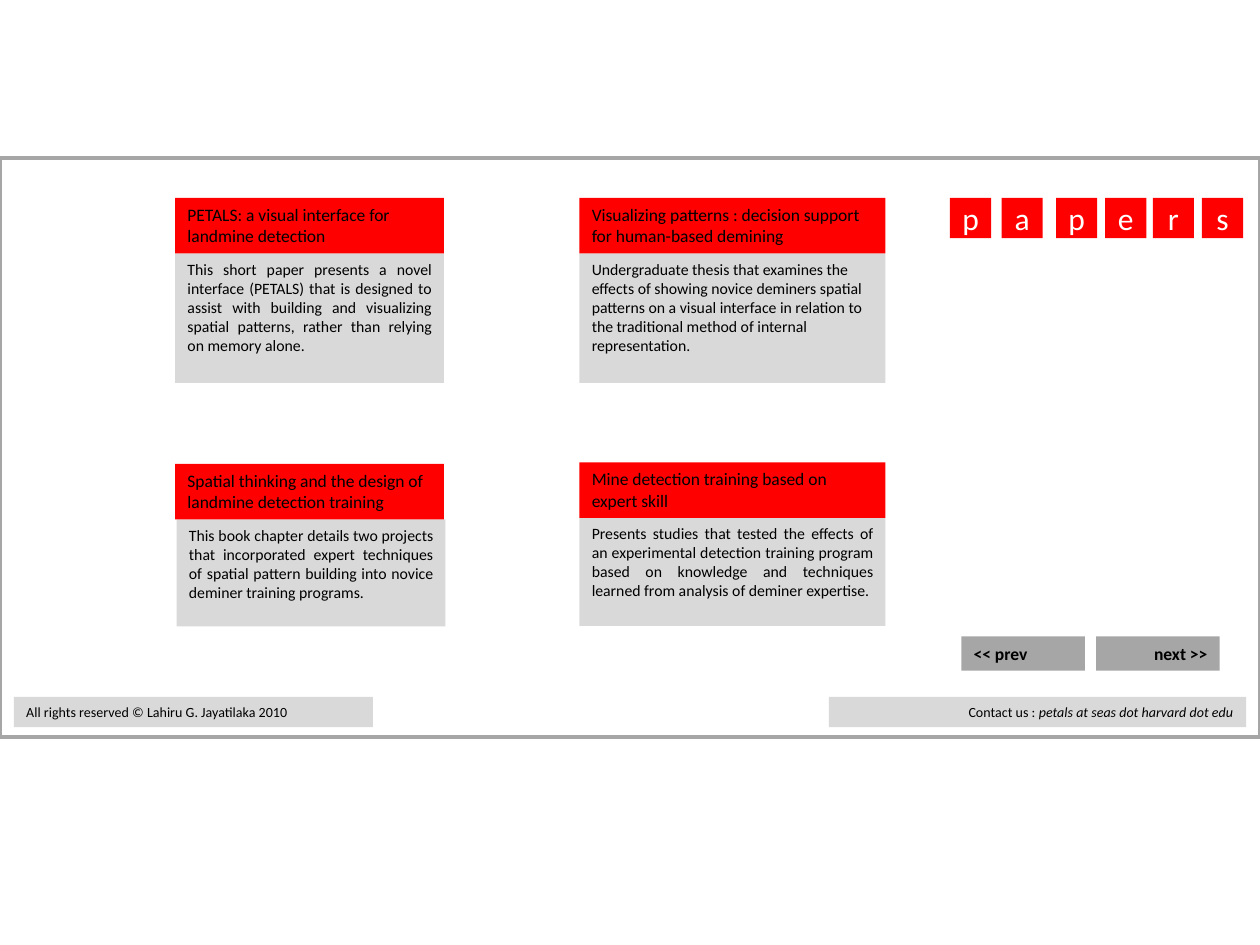
from pptx import Presentation
from pptx.dml.color import RGBColor
from pptx.enum.shapes import MSO_SHAPE as Shape
from pptx.enum.text import MSO_ANCHOR as Anchor, PP_ALIGN as Align
from pptx.util import Cm, Pt

RED, LIGHT, GREY, WHITE, BLACK = "FF0000", "D9D9D9", "A6A6A6", "FFFFFF", "000000"


def color(hex_code):
    return RGBColor.from_string(hex_code)


class SlideBuilder:
    font_name = "Calibri"
    header_height = 1.12

    def __init__(self, slide):
        self.slide = slide

    def box(self, left, top, width, height, fill, line=None):
        shape = self.slide.shapes.add_shape(
            Shape.RECTANGLE, Cm(left), Cm(top), Cm(width), Cm(height))
        shape.shadow.inherit = False
        shape.fill.solid()
        shape.fill.fore_color.rgb = color(fill)
        if line:
            shape.line.color.rgb = color(line)
            shape.line.width = Pt(2.25)
        else:
            shape.line.fill.background()
        return shape

    def label(self, bounds, fill, texts, size, align=Align.LEFT,
              font_color=BLACK, bold=False, anchor=Anchor.TOP):
        """Add a filled box with one paragraph; return its runs."""
        frame = self.box(*bounds, fill).text_frame
        frame.word_wrap = True
        frame.vertical_anchor = anchor
        paragraph = frame.paragraphs[0]
        paragraph.alignment = align
        font = paragraph.font
        font.name, font.size, font.bold = self.font_name, Pt(size), bold
        font.color.rgb = color(font_color)
        for text in texts:
            paragraph.add_run().text = text
        return paragraph.runs

    def card(self, left, top, width, body_height, title, summary,
             align=Align.JUSTIFY, body_shift=0):
        body_top = top + self.header_height
        self.label((left + body_shift, body_top, width, body_height),
                   LIGHT, [summary], 9, align)
        self.label((left, top, width, self.header_height), RED, [title], 10)

    def tile(self, left, letter):
        self.label((left, 3.99, 0.83, 0.81), RED, [letter], 18, Align.CENTER,
                   WHITE, anchor=Anchor.MIDDLE)

    def button(self, left, text, align):
        self.label((left, 12.83, 2.49, 0.69), GREY, [text], 10, align, bold=True)

    def footer(self, left, width, texts, align=Align.LEFT):
        return self.label((left, 14.05, width, 0.61), LIGHT, texts, 8, align)


def main():
    presentation = Presentation()
    presentation.slide_width, presentation.slide_height = Cm(25.4), Cm(19.05)
    slide = presentation.slides.add_slide(presentation.slide_layouts[6])
    builder = SlideBuilder(slide)

    # Page frame
    builder.box(0, 3.18, 25.4, 11.68, WHITE, GREY)

    # Section title, one tile per letter
    for left, letter in zip((19.15, 20.19, 21.29, 22.28, 23.24, 24.23), "papers"):
        builder.tile(left, letter)

    # Paper cards
    builder.card(
        3.53, 3.99, 5.42, 2.61,
        "PETALS: a visual interface for landmine detection",
        "This short paper presents a novel interface (PETALS) that is designed "
        "to assist with building and visualizing spatial patterns, rather than "
        "relying on memory alone.")
    builder.card(
        11.68, 3.99, 6.17, 2.61,
        "Visualizing patterns : decision support for human-based demining",
        "Undergraduate thesis that examines the effects of showing novice "
        "deminers spatial patterns on a visual interface in relation to the "
        "traditional method of internal representation.", Align.LEFT)
    builder.card(
        3.53, 9.35, 5.42, 2.16,
        "Spatial thinking and the design of landmine detection training",
        "This book chapter details two projects that incorporated expert "
        "techniques of spatial pattern building into novice deminer training "
        "programs.", body_shift=0.03)
    builder.card(
        11.68, 9.32, 6.17, 2.18,
        "Mine detection training based on expert skill",
        "Presents studies that tested the effects of an experimental detection "
        "training program based on knowledge and techniques learned from "
        "analysis of deminer expertise.")

    # Navigation buttons
    builder.button(19.38, "<< prev", Align.LEFT)
    builder.button(22.1, "next >>", Align.RIGHT)

    # Footer
    builder.footer(0.28, 7.24, ["All rights reserved © Lahiru G. Jayatilaka 2010"])
    contact = builder.footer(
        16.71, 8.41, ["Contact us : ", "petals at seas dot harvard dot edu"],
        Align.RIGHT)
    contact[1].font.italic = True

    presentation.save("out.pptx")


if __name__ == "__main__":
    main()
